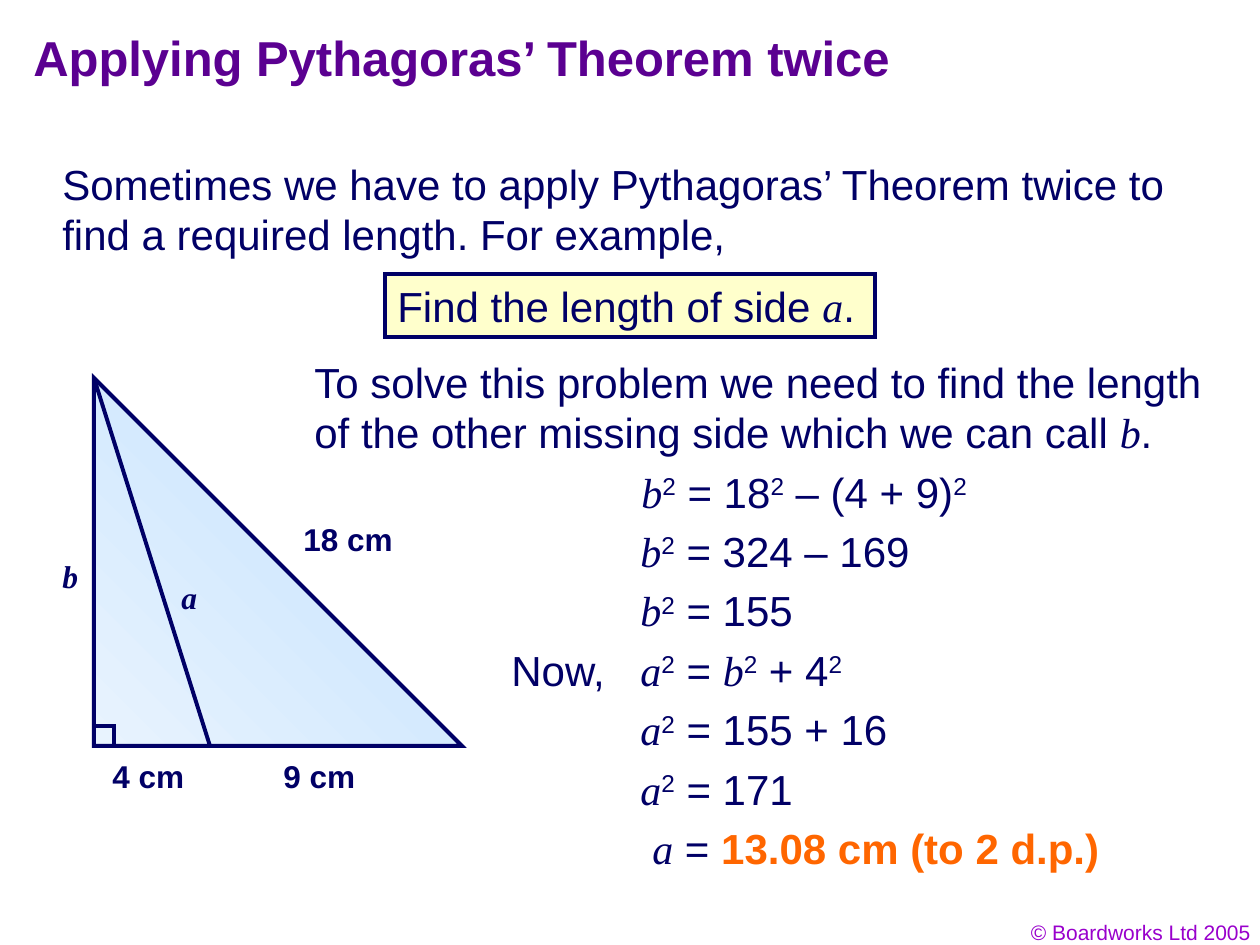
from lxml import etree
from pptx import Presentation
from pptx.dml.color import RGBColor
from pptx.enum.shapes import MSO_CONNECTOR, MSO_SHAPE
from pptx.enum.text import MSO_ANCHOR, PP_ALIGN
from pptx.oxml.ns import qn
from pptx.util import Emu, Pt

RECT, TRIANGLE = MSO_SHAPE.RECTANGLE, MSO_SHAPE.RIGHT_TRIANGLE
STRAIGHT = MSO_CONNECTOR.STRAIGHT
TOP = MSO_ANCHOR.TOP
LEFT, RIGHT = PP_ALIGN.LEFT, PP_ALIGN.RIGHT
SANS, SERIF = "Arial", "Times New Roman"
INK, EDGE, PURPLE, VIOLET, ORANGE = "010066", "000066", "5B0091", "9900CC", "FF6600"
PALE_YELLOW, SKY, ICE = "FFFFCC", "BFDFFF", "E8F3FE"

A, B = ("a", "var"), ("b", "var")
SQ = ("2", "sup")

FOOTER = (969, 913, 294, 38), [("© Boardworks Ltd 2005", "")]
TITLE = (21, 21, 1071, 84), [("Applying Pythagoras’ Theorem twice", "bold")]
PARAGRAPHS = [
    ((50, 152, 1184, 113), [("Sometimes we have to apply Pythagoras’ Theorem twice to "
                             "find a required length. For example,", "")]),
    ((302, 350, 937, 113), [("To solve this problem we need to find the length of the other "
                             "missing side which we can call ", ""), B, (".", "")]),
]
QUESTION = (385, 274, 490, 63), [("Find the length of side ", ""), A, (".", "")]

LABELS = [
    ((100, 751, 97, 50), [("4 cm", "bold")]),
    ((271, 751, 97, 50), [("9 cm", "bold")]),
    ((291, 514, 115, 50), [("18 cm", "bold")]),
    ((169, 572, 40, 50), [("a", "bold var")]),
    ((50, 551, 40, 50), [("b", "bold var")]),
]

EQUATIONS = [
    (629, 370, [B, SQ, (" = 18", ""), SQ, (" – (4 + 9)", ""), SQ]),
    (628, 310, [B, SQ, (" = 324 – 169", "")]),
    (628, 195, [B, SQ, (" = 155", "")]),
    (628, 245, [A, SQ, (" = ", ""), B, SQ, (" + 4", ""), SQ]),
    (628, 290, [A, SQ, (" = 155 + 16", "")]),
    (628, 195, [A, SQ, (" = 171", "")]),
    (640, 490, [A, (" = ", ""), ("13.08 cm (to 2 d.p.)", "bold answer")]),
]
EQUATION_TOP, EQUATION_STEP, LINE_HEIGHT = 460, 59.4, 63
NOW_ROW, NOW_LEFT, NOW_WIDTH = 3, 499, 129

APEX_X, APEX_Y, SIDE = 94, 378, 368
FOOT_X = 210
CORNER = 20


def px(n):
    return Emu(round(n * 914400 / 126))


def rgb(color):
    return RGBColor.from_string(color)


def write(sp, runs, size, color=INK, align=LEFT, wrap=True):
    tf = sp.text_frame
    tf.word_wrap = wrap
    tf.vertical_anchor = TOP
    p = tf.paragraphs[0]
    p.alignment = align
    for text, style in runs:
        marks = style.split()
        r = p.add_run()
        r.text = text
        r.font.size = Pt(size)
        r.font.name = SERIF if "var" in marks else SANS
        r.font.italic = "var" in marks
        r.font.bold = "bold" in marks
        r.font.color.rgb = rgb(ORANGE if "answer" in marks else color)
        if "sup" in marks:
            r.font._element.set("baseline", "30000")


def add_text(slide, box, runs, size, **options):
    write(slide.shapes.add_textbox(*map(px, box)), runs, size, **options)


def outline(sp):
    sp.line.color.rgb = rgb(EDGE)
    sp.line.width = Pt(2.25)
    etree.SubElement(sp.line._get_or_add_ln(), qn("a:miter"), lim="800000")


def add_outlined(slide, kind, box):
    sp = slide.shapes.add_shape(kind, *map(px, box))
    sp.shadow.inherit = False
    outline(sp)
    return sp


def add_triangle(slide):
    base_y = APEX_Y + SIDE
    triangle = add_outlined(slide, TRIANGLE, (APEX_X, APEX_Y, SIDE, SIDE))
    triangle.fill.gradient()
    triangle.fill.gradient_angle = 225
    for stop, color in zip(triangle.fill.gradient_stops, (SKY, ICE)):
        stop.color.rgb = rgb(color)

    corner = add_outlined(slide, RECT, (APEX_X, base_y - CORNER, CORNER, CORNER))
    corner.fill.background()

    ends = (APEX_X, APEX_Y, FOOT_X, base_y)
    median = slide.shapes.add_connector(STRAIGHT, *map(px, ends))
    outline(median)
    etree.SubElement(median._element.spPr, qn("a:effectLst"))

    for box, runs in LABELS:
        add_text(slide, box, runs, 18, wrap=False)


def add_equations(slide):
    for row, (left, width, runs) in enumerate(EQUATIONS):
        top = EQUATION_TOP + row * EQUATION_STEP
        if row == NOW_ROW:
            add_text(slide, (NOW_LEFT, top, NOW_WIDTH, LINE_HEIGHT), [("Now,", "")], 24)
        add_text(slide, (left, top, width, LINE_HEIGHT), runs, 24)


def main():
    prs = Presentation()
    prs.slide_width, prs.slide_height = px(1260), px(945)
    slide = prs.slides.add_slide(prs.slide_layouts[6])

    add_text(slide, *FOOTER, 12, color=VIOLET, align=RIGHT)
    add_text(slide, *TITLE, 28, color=PURPLE)
    for box, runs in PARAGRAPHS:
        add_text(slide, box, runs, 24)

    box, runs = QUESTION
    question = add_outlined(slide, RECT, box)
    question.fill.solid()
    question.fill.fore_color.rgb = rgb(PALE_YELLOW)
    write(question, runs, 24)

    add_triangle(slide)
    add_equations(slide)
    prs.save("out.pptx")


if __name__ == "__main__":
    main()
